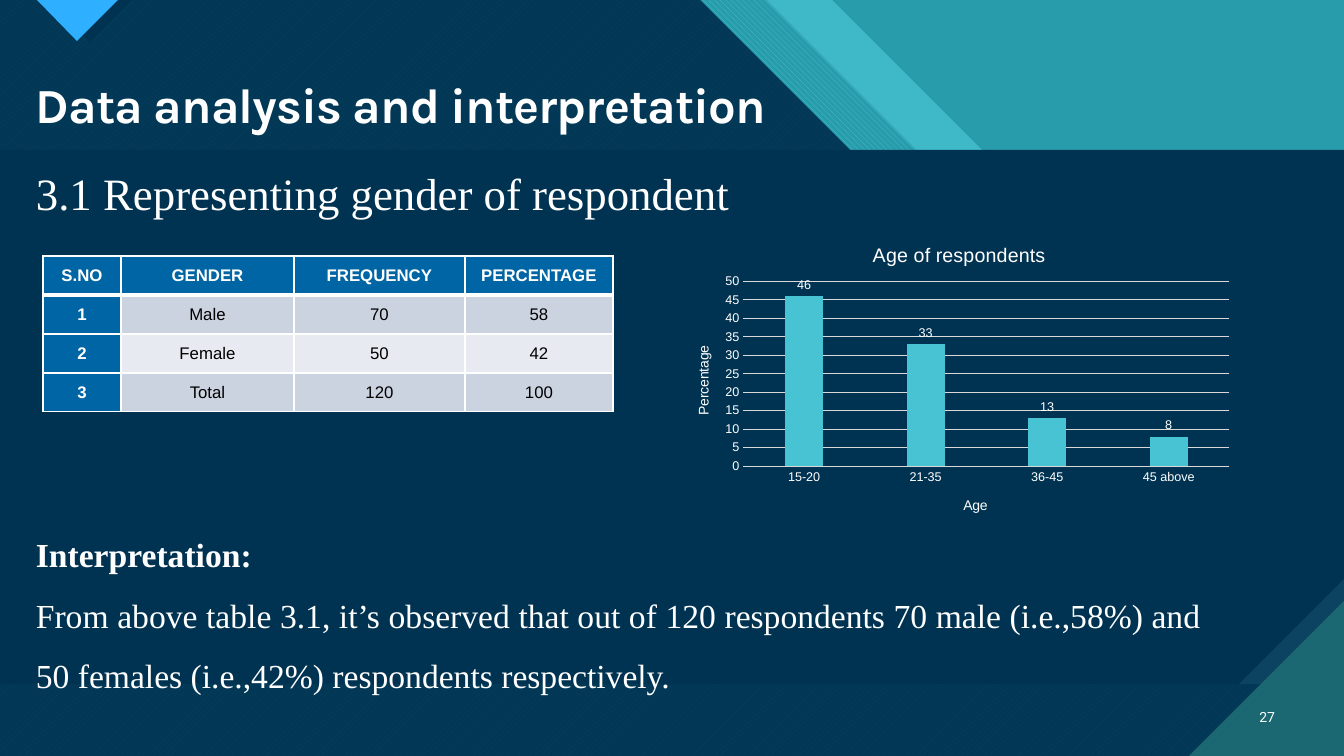
from lxml import etree
from pptx import Presentation
from pptx.chart.data import CategoryChartData
from pptx.dml.color import RGBColor
from pptx.enum.chart import XL_CHART_TYPE, XL_LABEL_POSITION, XL_TICK_MARK
from pptx.enum.dml import MSO_PATTERN
from pptx.enum.text import MSO_ANCHOR, PP_ALIGN
from pptx.oxml.ns import qn
from pptx.util import Emu, Pt

COLUMNS = XL_CHART_TYPE.COLUMN_CLUSTERED
OUTSIDE = XL_LABEL_POSITION.OUTSIDE_END
NO_TICK = XL_TICK_MARK.NONE
DOWN_STRIPES = MSO_PATTERN.WIDE_DOWNWARD_DIAGONAL
UP_STRIPES = MSO_PATTERN.WIDE_UPWARD_DIAGONAL
TOP, MIDDLE = MSO_ANCHOR.TOP, MSO_ANCHOR.MIDDLE
LEFT, CENTER, RIGHT, JUSTIFY = PP_ALIGN.LEFT, PP_ALIGN.CENTER, PP_ALIGN.RIGHT, PP_ALIGN.JUSTIFY

WIDTH, HEIGHT = 1344, 756
SCALE = 12192000 / WIDTH
NAVY, DEEP, TEAL, CYAN, SEA = "003352", "0C4360", "299CAB", "47C3D3", "1B6872"
WHITE, BLACK, GRID = "FFFFFF", "000000", "D9D9D9"
SANS, SERIF = "Arial", "Times New Roman"


def px(length):
    return Emu(round(length * SCALE))


def color(value):
    return RGBColor.from_string(value)


class SlideBuilder:
    def __init__(self, presentation, background):
        self.slide = presentation.slides.add_slide(presentation.slide_layouts[6])
        self.shapes = self.slide.shapes
        fill = self.slide.background.fill
        fill.solid()
        fill.fore_color.rgb = color(background)

    def style_font(self, font, size, fore=WHITE, name=SANS, bold=False):
        font.size = Pt(size)
        font.name = name
        font.bold = bold
        font.color.rgb = color(fore)

    def add_run(self, paragraph, text, size, fore=WHITE, name=SANS, bold=False):
        run = paragraph.add_run()
        run.text = text
        self.style_font(run.font, size, fore, name, bold)
        return run

    def polygon(self, points, fore, opacity=100, pattern=None, back=None):
        builder = self.shapes.build_freeform(*points[0], scale=SCALE)
        builder.add_line_segments(points[1:], close=True)
        shape = builder.convert_to_shape()
        shape.shadow.inherit = False
        shape.line.fill.background()
        if pattern is None:
            shape.fill.solid()
        else:
            shape.fill.patterned()
            shape.fill.pattern = pattern
            shape.fill.back_color.rgb = color(back)
        shape.fill.fore_color.rgb = color(fore)
        if opacity < 100:
            fore_element = shape._element.spPr.find(qn("a:solidFill"))[0]
            etree.SubElement(fore_element, qn("a:alpha"), val=str(opacity * 1000))

    def band(self, edge, shelf, fore, **style):
        knee = 300
        self.polygon(
            [(0, 0), (edge, 0), (edge + knee, knee), (shelf, knee),
             (WIDTH, knee + WIDTH - shelf), (WIDTH, HEIGHT), (0, HEIGHT)],
            fore, **style)

    def text(self, box, lines, size, name, align=LEFT, anchor=TOP, spacing=1.0, after=0, tracking=0):
        frame = self.shapes.add_textbox(*map(px, box)).text_frame
        frame.word_wrap = True
        frame.vertical_anchor = anchor
        for index, (line, bold) in enumerate(lines):
            paragraph = frame.add_paragraph() if index else frame.paragraphs[0]
            paragraph.alignment = align
            paragraph.line_spacing = spacing
            paragraph.space_after = Pt(after)
            run = self.add_run(paragraph, line, size, WHITE, name, bold)
            if tracking:
                run.font._element.set("spc", str(tracking))

    def border(self, cell, side, points):
        properties = cell._tc.get_or_add_tcPr()
        line = etree.SubElement(properties, qn(f"a:ln{side}"), w=str(Pt(points)))
        fill = etree.SubElement(line, qn("a:solidFill"))
        etree.SubElement(fill, qn("a:srgbClr"), val=WHITE)

    def table(self, left, top, widths, row_height, rows):
        frame = self.shapes.add_table(
            len(rows), len(widths), px(left), px(top), px(sum(widths)), px(row_height * len(rows)))
        table = frame.table
        for column, width in zip(table.columns, widths):
            column.width = px(width)
        for row_index, values in enumerate(rows):
            table.rows[row_index].height = px(row_height)
            for column_index, value in enumerate(values):
                cell = table.cell(row_index, column_index)
                heading = row_index == 0 or column_index == 0
                cell.margin_left = cell.margin_right = px(7)
                cell.margin_top = cell.margin_bottom = 0
                cell.vertical_anchor = MIDDLE
                for side in "LRTB":
                    thick = (row_index, side) in ((0, "B"), (1, "T"))
                    self.border(cell, side, 3 if thick else 1)
                cell.fill.solid()
                stripe = "CCD3E0" if row_index % 2 else "E7EAF0"
                cell.fill.fore_color.rgb = color("0065A4" if heading else stripe)
                paragraph = cell.text_frame.paragraphs[0]
                paragraph.alignment = CENTER
                self.add_run(paragraph, value, 12, WHITE if heading else BLACK, bold=heading)

    def place(self, parent, index, **fractions):
        for old in parent.findall(qn("c:layout")):
            parent.remove(old)
        layout = etree.Element(qn("c:layout"))
        manual = etree.SubElement(layout, qn("c:manualLayout"))
        if "w" in fractions:
            etree.SubElement(manual, qn("c:layoutTarget"), val="inner")
        for mode in ("xMode", "yMode"):
            etree.SubElement(manual, qn(f"c:{mode}"), val="edge")
        for key, value in fractions.items():
            etree.SubElement(manual, qn(f"c:{key}"), val=str(value))
        parent.insert(index, layout)

    def chart_title(self, owner, text, size, x, y, rotation=0):
        owner.has_title = True
        title = owner.chart_title if hasattr(owner, "chart_title") else owner.axis_title
        frame = title.text_frame
        self.add_run(frame.paragraphs[0], text, size)
        frame._txBody.bodyPr.set("rot", str(rotation * 60000))
        frame._txBody.bodyPr.set("vert", "horz")
        self.place(title._element, 1, x=x, y=y)

    def column_chart(self, box, categories, values):
        data = CategoryChartData()
        data.categories = categories
        data.add_series("Series 1", values)
        chart = self.shapes.add_chart(COLUMNS, *map(px, box), data).chart
        chart.has_legend = False
        self.style_font(chart.font, 10)
        self.chart_title(chart, "Age of respondents", 14, 0.35, 0.05)
        self.chart_title(chart.category_axis, "Age", 10, 0.51, 0.88)
        self.chart_title(chart.value_axis, "Percentage", 10, 0.04, 0.39, -90)
        self.place(chart._chartSpace.chart.plotArea, 0, x=0.13, y=0.19, w=0.85, h=0.6)
        for axis in (chart.category_axis, chart.value_axis):
            axis.major_tick_mark = axis.minor_tick_mark = NO_TICK
            self.style_font(axis.tick_labels.font, 9)
        scale = chart.value_axis
        scale.minimum_scale, scale.maximum_scale, scale.major_unit = 0, 50, 5
        scale.format.line.fill.background()
        for line in (chart.category_axis.format.line, scale.major_gridlines.format.line):
            line.color.rgb = color(GRID)
            line.width = Pt(0.75)
        plot = chart.plots[0]
        plot.vary_by_categories = False
        plot.gap_width, plot.overlap = 219, -27
        series = plot.series[0]
        series.format.fill.solid()
        series.format.fill.fore_color.rgb = color(CYAN)
        labels = series.data_labels
        labels.show_value = True
        labels.position = OUTSIDE
        self.style_font(labels.font, 9)


def main():
    presentation = Presentation()
    presentation.slide_width, presentation.slide_height = px(WIDTH), px(HEIGHT)
    builder = SlideBuilder(presentation, TEAL)

    builder.band(832, 1244, CYAN, opacity=74)
    builder.band(766, 1193, CYAN, pattern=DOWN_STRIPES, back=TEAL)
    builder.band(700, 1127, CYAN, pattern=UP_STRIPES, back=SEA)
    builder.band(700, 1127, NAVY, opacity=90)
    builder.polygon([(48, 0), (132, 0), (90, 42)], NAVY)
    builder.polygon([(37, 0), (118, 0), (77, 41)], "2FAFFF")
    builder.polygon([(0, 150), (WIDTH, 150), (WIDTH, 684), (0, 684)], DEEP)
    builder.polygon([(0, 150), (WIDTH, 150), (WIDTH, 579), (1239, 684), (0, 684)], NAVY)
    builder.polygon([(1189, HEIGHT), (WIDTH, HEIGHT), (WIDTH, 601)], SEA)

    builder.text((26, 76, 762, 64), [("Data analysis and interpretation", True)], 35, "Karla",
                 spacing=0.9, tracking=-70)
    builder.text((1241, 697, 44, 40), [("27", False)], 10, "Roboto", RIGHT, MIDDLE)
    builder.text((26, 161, 721, 65), [("3.1 Representing gender of respondent", False)], 32, SERIF,
                 JUSTIFY, after=19.5)
    builder.table(43, 256, (78, 173, 171, 148), 39, (
        ("S.NO", "GENDER", "FREQUENCY", "PERCENTAGE"),
        ("1", "Male", "70", "58"),
        ("2", "Female", "50", "42"),
        ("3", "Total", "120", "100")))
    builder.column_chart((669, 223, 572, 308), ("15-20", "21-35", "36-45", "45 above"), (46, 33, 13, 8))
    builder.text((26, 509, 1185, 186), [
        ("Interpretation:", True),
        ("From above table 3.1, it’s observed that out of 120 respondents 70 male (i.e.,58%) "
         "and 50 females (i.e.,42%) respondents respectively.", False)],
        24, SERIF, JUSTIFY, spacing=1.5)
    presentation.save("out.pptx")


if __name__ == "__main__":
    main()
